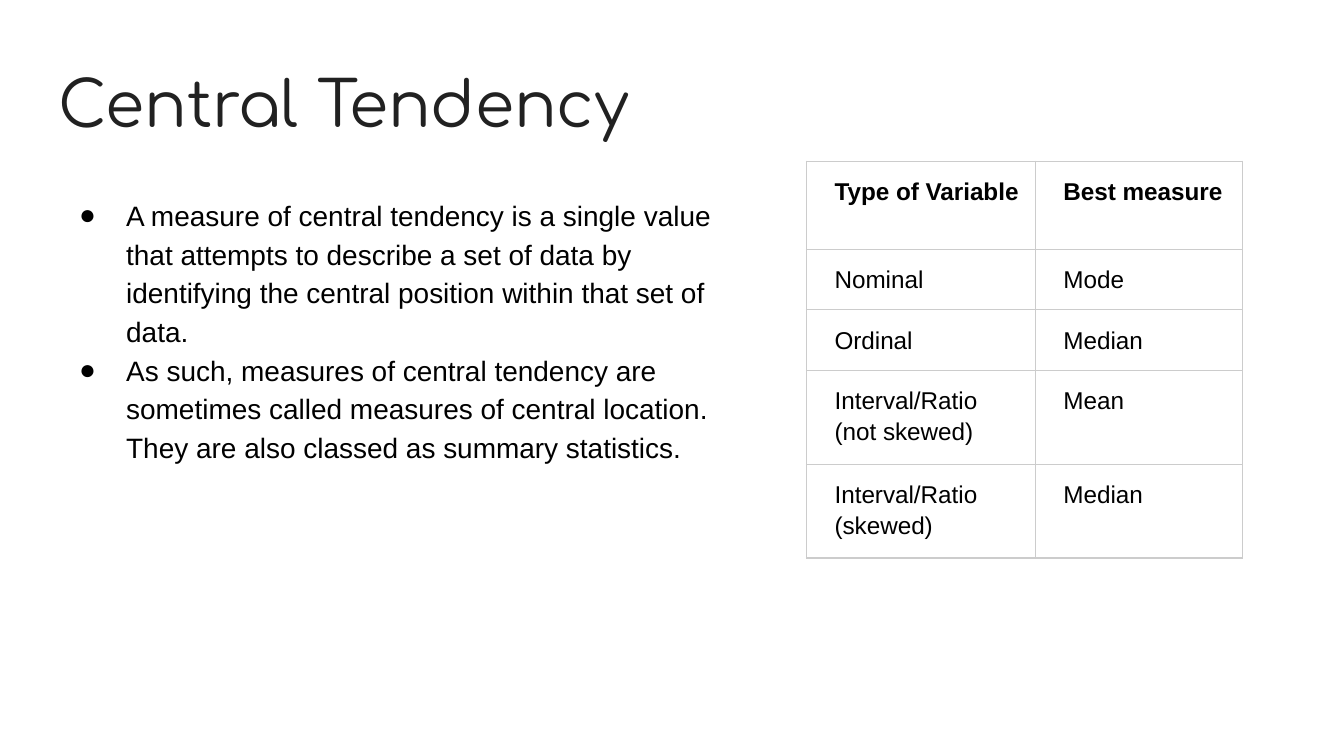
from dataclasses import dataclass

from lxml import etree
from pptx import Presentation
from pptx import util as u
from pptx.dml.color import RGBColor
from pptx.enum import text
from pptx.oxml.ns import qn

Pt = u.Pt
INSET = 7.2
BORDER = "CCCCCC"
MARGINS = ("margin_left", "margin_top", "margin_right", "margin_bottom")


@dataclass(frozen=True)
class Style:
    size: float
    font: str = "Arial"
    color: str = "000000"
    bold: bool = False
    spacing: float = 1.0
    left: float = 0
    hanging: float = 0
    bullet: str = ""


@dataclass(frozen=True)
class Block:
    box: tuple[float, float, float, float]
    lines: tuple[str, ...]
    style: Style
    anchor: text.MSO_ANCHOR


BODY = Style(15, spacing=1.15, left=36, hanging=25.2, bullet="●")
CELL = Style(13, spacing=1.15, left=7.92)
HEADER = Style(13, bold=True, spacing=1.15, left=7.92)

BLOCKS = (
    Block((24.5, 23, 671, 63.4), ("Central Tendency",),
          Style(33.8, "Comfortaa", "212121"), text.MSO_ANCHOR.MIDDLE),
    Block((24.5, 96.5, 386, 262.8), (
        "A measure of central tendency is a single value that attempts to describe "
        "a set of data by identifying the central position within that set of data.",
        "As such, measures of central tendency are sometimes called measures of "
        "central location. They are also classed as summary statistics.",
    ), BODY, text.MSO_ANCHOR.TOP),
)
ROWS = (
    ("Type of Variable", "Best measure"),
    ("Nominal", "Mode"),
    ("Ordinal", "Median"),
    ("Interval/Ratio (not skewed)", "Mean"),
    ("Interval/Ratio (skewed)", "Median"),
)
COL_WIDTHS = (122.6, 111)
ROW_HEIGHTS = (47.2, 31.1, 31.1, 47.6, 47.6)


def rgb(value: str) -> RGBColor:
    return RGBColor.from_string(value)


def set_attrs(obj, values: dict) -> None:
    for name, value in values.items():
        setattr(obj, name, value)


def write(tf, lines: tuple[str, ...], style: Style) -> None:
    for i, line in enumerate(lines):
        p = tf.add_paragraph() if i else tf.paragraphs[0]
        set_attrs(p, {"alignment": text.PP_ALIGN.LEFT, "line_spacing": style.spacing})
        pPr = p._p.get_or_add_pPr()
        pPr.set("marL", str(Pt(style.left)))
        pPr.set("indent", str(-Pt(style.hanging)))
        if style.bullet:
            clr = etree.SubElement(pPr, qn("a:buClr"))
            etree.SubElement(clr, qn("a:srgbClr"), val=style.color)
            etree.SubElement(pPr, qn("a:buFont"), typeface=style.font)
            etree.SubElement(pPr, qn("a:buChar"), char=style.bullet)
        r = p.add_run()
        r.text = line
        set_attrs(r.font, {"size": Pt(style.size), "name": style.font, "bold": style.bold})
        r.font.color.rgb = rgb(style.color)


def add_block(s, block: Block) -> None:
    tf = s.shapes.add_textbox(*map(Pt, block.box)).text_frame
    set_attrs(tf, {"word_wrap": True, "vertical_anchor": block.anchor,
                   **dict.fromkeys(MARGINS, Pt(INSET))})
    write(tf, block.lines, block.style)


def set_borders(cell) -> None:
    tcPr = cell._tc.get_or_add_tcPr()
    for i, side in enumerate(("lnL", "lnR", "lnT", "lnB")):
        ln = etree.Element(qn(f"a:{side}"), w=str(Pt(0.75)))
        fill = etree.SubElement(ln, qn("a:solidFill"))
        etree.SubElement(fill, qn("a:srgbClr"), val=BORDER)
        tcPr.insert(i, ln)


def add_measures(s, left: float, top: float) -> None:
    size = Pt(sum(COL_WIDTHS)), Pt(sum(ROW_HEIGHTS))
    table = s.shapes.add_table(len(ROWS), len(COL_WIDTHS), Pt(left), Pt(top), *size).table
    set_attrs(table, {"first_row": False, "horz_banding": False})
    for col, width in zip(table.columns, COL_WIDTHS):
        col.width = Pt(width)
    for i, (row, height, values) in enumerate(zip(table.rows, ROW_HEIGHTS, ROWS)):
        row.height = Pt(height)
        for cell, value in zip(row.cells, values):
            set_attrs(cell, dict.fromkeys(MARGINS, Pt(INSET)))
            cell.fill.background()
            set_borders(cell)
            write(cell.text_frame, (value,), CELL if i else HEADER)


def main() -> None:
    """Build the central tendency slide."""
    prs = Presentation()
    set_attrs(prs, {"slide_width": Pt(720), "slide_height": Pt(405)})
    s = prs.slides.add_slide(prs.slide_layouts[6])
    for block in BLOCKS:
        add_block(s, block)
    add_measures(s, 432, 86.4)
    prs.save("out.pptx")


if __name__ == "__main__":
    main()
